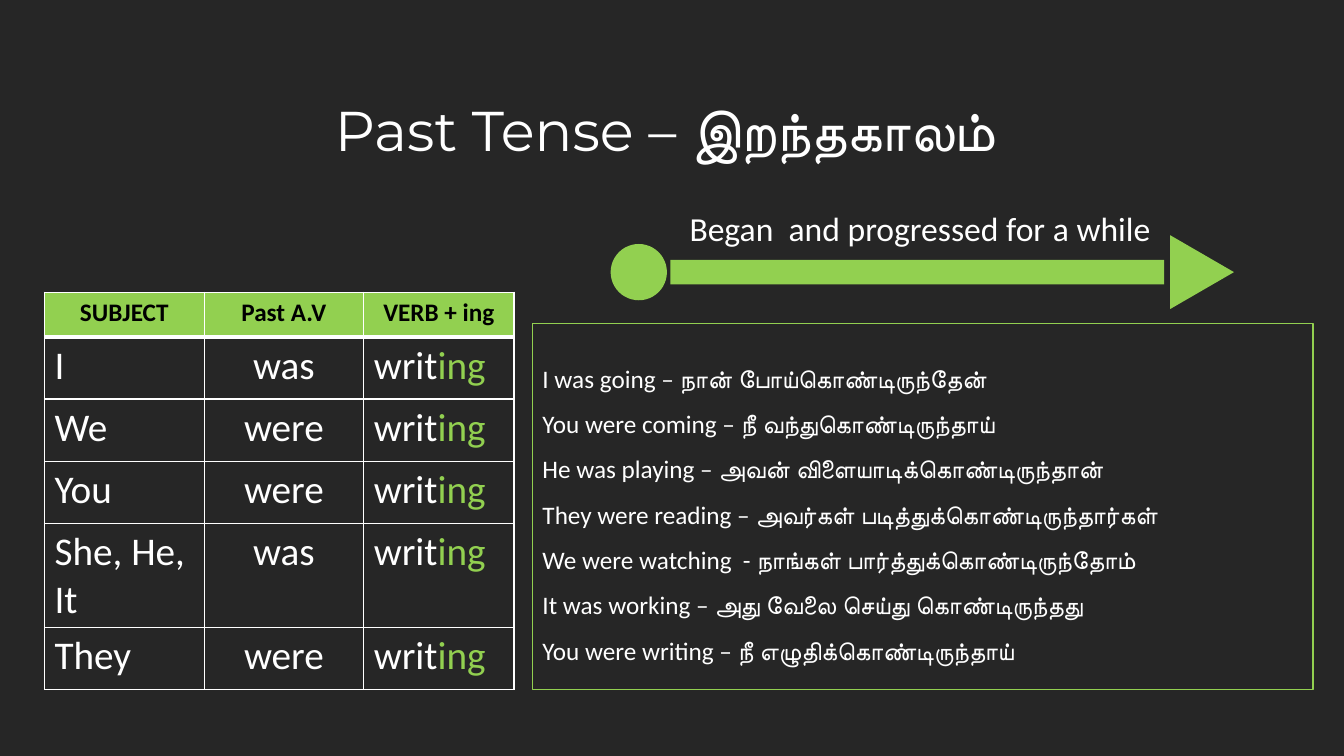
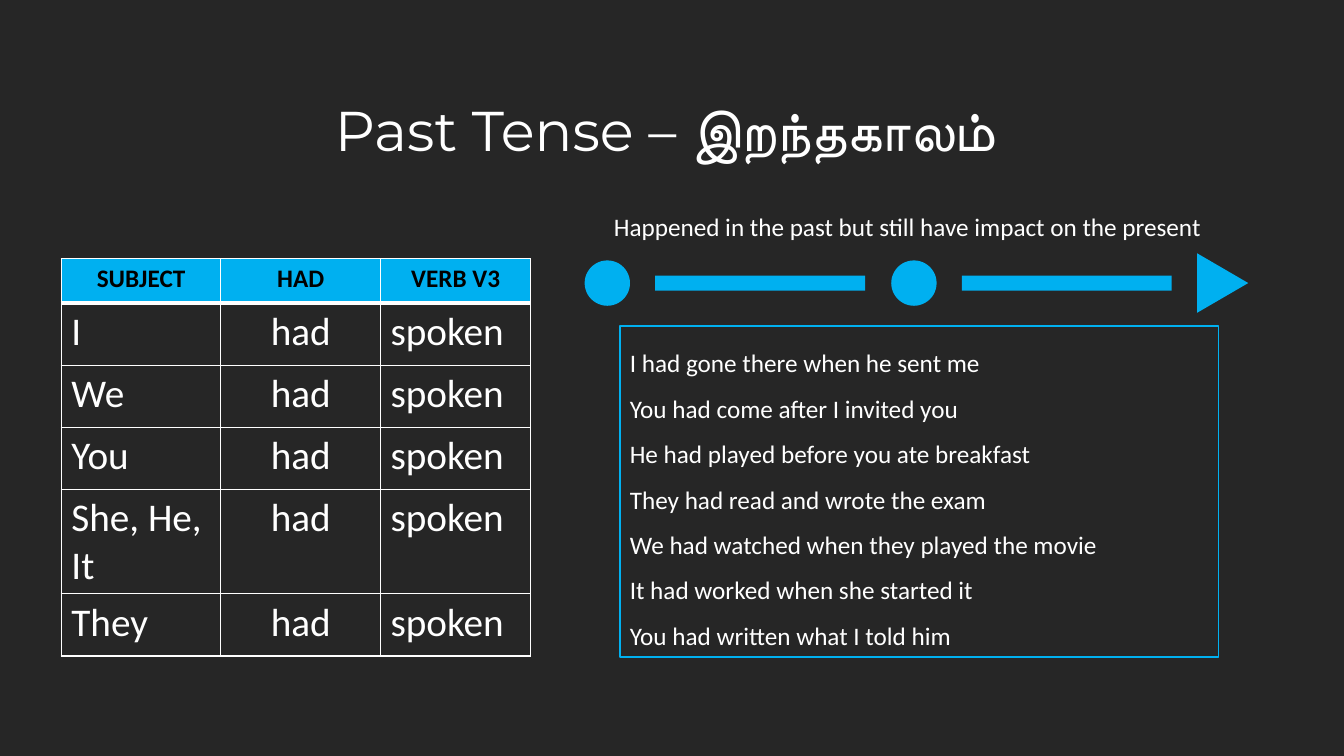
from collections.abc import Sequence
from dataclasses import dataclass
from typing import NamedTuple

from lxml import etree
from pptx import Presentation
from pptx import util as u
from pptx.dml.color import RGBColor
from pptx.enum import shapes, text
from pptx.oxml import ns


@dataclass(frozen=True)
class Theme:
    ground: str = "262626"
    ink: str = "FFFFFF"
    header_ink: str = "000000"
    green: str = "92D050"
    blue: str = "00B0F0"
    title_font: str = "Montserrat"
    body_font: str = "Calibri"
    title_size: int = 40
    entry_size: int = 28
    body_size: int = 18
    line_spacing: float = 1.5
    rule: int = 1
    header_rule: int = 3


THEME = Theme()
WIDTH, HEIGHT = u.Inches(13.33), u.Inches(7.5)
COLUMNS, ROWS = 16, 9  # every length below counts columns or rows of this grid
SHAPE = shapes.MSO_SHAPE
LEFT, CENTER = text.PP_ALIGN.LEFT, text.PP_ALIGN.CENTER


class Area(NamedTuple):
    left: float
    top: float
    width: float
    height: float


class Mark(NamedTuple):
    kind: SHAPE
    left: float
    width: float
    height: float


@dataclass(frozen=True)
class Caption:
    wording: str
    area: Area
    size: int
    wrap: bool


@dataclass(frozen=True)
class Tense:
    accent: str
    table_left: float
    table_top: float
    header: Sequence[str]
    helpers: Sequence[str]
    verb: str
    ending: str
    caption: Caption
    axis: float
    marks: Sequence[Mark]
    example_area: Area
    examples: Sequence[str]


TITLE = "Past Tense – இறந்தகாலம் "
TITLE_AREA = Area(2.51, 1.08, 10.98, 0.92)
SUBJECTS = ("I", "We", "You", "She, He, It", "They")
TABLE_COLUMNS = (1.9, 1.9, 1.79)
HEADER_HEIGHT, ENTRY_HEIGHT = 0.53, 0.74
STEP = 3.65  # from one timeline event to the next

TENSES = (
    Tense(
        accent=THEME.green,
        table_left=0.53,
        table_top=3.48,
        header=("SUBJECT", "Past A.V", "VERB + ing"),
        helpers=("was", "were", "were", "was", "were"),
        verb="writ",
        ending="ing",
        caption=Caption("Began  and progressed for a while", Area(8.09, 2.42, 5.78, 0.6), 24, False),
        axis=3.24,
        marks=(
            Mark(SHAPE.OVAL, 7.27, 0.67, 0.67),
            Mark(SHAPE.RECTANGLE, 7.98, 5.88, 0.29),
            Mark(SHAPE.ISOSCELES_TRIANGLE, 13.87, 0.88, 0.76),
        ),
        example_area=Area(6.34, 3.85, 9.29, 4.36),
        examples=(
            "I was going – நான் போய்கொண்டிருந்தேன்",
            "You were coming – நீ வந்துகொண்டிருந்தாய்",
            "He was playing – அவன் விளையாடிக்கொண்டிருந்தான்",
            "They were reading – அவர்கள் படித்துக்கொண்டிருந்தார்கள்",
            "We were watching  - நாங்கள் பார்த்துக்கொண்டிருந்தோம்",
            "It was working – அது வேலை செய்து கொண்டிருந்தது",
            "You were writing – நீ எழுதிக்கொண்டிருந்தாய்",
        ),
    ),
    Tense(
        accent=THEME.blue,
        table_left=0.73,
        table_top=3.08,
        header=("SUBJECT", "HAD", "VERB V3"),
        helpers=("had",) * len(SUBJECTS),
        verb="spoken",
        ending="",
        caption=Caption(
            "Happened in the past but still have impact on the present",
            Area(7.19, 2.46, 7.85, 0.48), THEME.body_size, True,
        ),
        axis=3.37,
        marks=(
            *(
                mark
                for event in range(2)
                for mark in (
                    Mark(SHAPE.OVAL, 6.96 + event * STEP, 0.54, 0.54),
                    Mark(SHAPE.RECTANGLE, 7.8 + event * STEP, 2.5, 0.18),
                )
            ),
            Mark(SHAPE.ISOSCELES_TRIANGLE, 14.2, 0.71, 0.61),
        ),
        example_area=Area(7.38, 3.88, 7.13, 3.94),
        examples=(
            "I had gone there when he sent me",
            "You had come after I invited you",
            "He had played before you ate breakfast",
            "They had read and wrote the exam",
            "We had watched when they played the movie",
            "It had worked when she started it",
            "You had written what I told him",
        ),
    ),
)


def across(columns: float) -> int:
    return round(WIDTH * columns / COLUMNS)


def down(rows: float) -> int:
    return round(HEIGHT * rows / ROWS)


def place(area: Area) -> tuple[int, int, int, int]:
    return across(area.left), down(area.top), across(area.width), down(area.height)


def write(frame, *lines: str, size: int = THEME.body_size, color: str = THEME.ink,
          font: str = THEME.body_font, bold: bool = False, align=LEFT,
          spacing: float = 1.0, ending: str = "", ending_color: str = THEME.ink) -> None:
    """Fill a text frame, one paragraph a line, each with an optional coloured ending."""
    for index, line in enumerate(lines):
        para = frame.add_paragraph() if index else frame.paragraphs[0]
        para.alignment, para.line_spacing = align, spacing
        for wording, ink in ((line, color), (ending, ending_color)):
            if wording:
                span = para.add_run()
                span.text = wording
                span.font.name, span.font.size, span.font.bold = font, u.Pt(size), bold
                span.font.color.rgb = RGBColor.from_string(ink)


def add_title(slide) -> None:
    title = slide.shapes.title
    title.left, title.top, title.width, title.height = place(TITLE_AREA)
    frame = title.text_frame
    frame.word_wrap = True
    frame.auto_size = text.MSO_AUTO_SIZE.SHAPE_TO_FIT_TEXT
    frame.vertical_anchor = text.MSO_ANCHOR.TOP
    write(frame, TITLE, size=THEME.title_size, font=THEME.title_font, align=CENTER)


def add_caption(slide, caption: Caption) -> None:
    frame = slide.shapes.add_textbox(*place(caption.area)).text_frame
    frame.word_wrap = caption.wrap
    frame.auto_size = text.MSO_AUTO_SIZE.SHAPE_TO_FIT_TEXT
    write(frame, caption.wording, size=caption.size)


def add_examples(slide, tense: Tense) -> None:
    box = slide.shapes.add_shape(SHAPE.RECTANGLE, *place(tense.example_area))
    box.shadow.inherit = False
    box.fill.background()
    box.line.color.rgb = RGBColor.from_string(tense.accent)
    box.line.width = u.Pt(THEME.rule)
    box.text_frame.word_wrap = True
    box.text_frame.vertical_anchor = text.MSO_ANCHOR.MIDDLE
    write(box.text_frame, *tense.examples, spacing=THEME.line_spacing)


def add_timeline(slide, tense: Tense) -> None:
    group = slide.shapes.add_group_shape()
    for mark in tense.marks:
        width, height = across(mark.width), down(mark.height)
        top = down(tense.axis) - height // 2
        shape = group.shapes.add_shape(mark.kind, across(mark.left), top, width, height)
        shape.shadow.inherit = False
        shape.fill.solid()
        shape.fill.fore_color.rgb = RGBColor.from_string(tense.accent)
        shape.line.fill.background()
        if mark.kind == SHAPE.ISOSCELES_TRIANGLE:
            shape.rotation = 90


def set_borders(cell, **widths: int) -> None:
    """Draw the cell's L, R, T and B edges in the ink colour."""
    properties = cell._tc.get_or_add_tcPr()
    for side, width in widths.items():
        edge = etree.SubElement(properties, ns.qn(f"a:ln{side}"), w=str(u.Pt(width)))
        fill = etree.SubElement(edge, ns.qn("a:solidFill"))
        etree.SubElement(fill, ns.qn("a:srgbClr"), val=THEME.ink)


def add_conjugation(slide, tense: Tense) -> None:
    heights = (HEADER_HEIGHT, *[ENTRY_HEIGHT] * len(SUBJECTS))
    area = Area(tense.table_left, tense.table_top, sum(TABLE_COLUMNS), sum(heights))
    table = slide.shapes.add_table(len(heights), len(TABLE_COLUMNS), *place(area)).table
    table.horz_banding = table.first_row = False
    for column, width in zip(table.columns, TABLE_COLUMNS):
        column.width = across(width)
    for row, height in zip(table.rows, heights):
        row.height = down(height)

    # Header row
    for index, heading in enumerate(tense.header):
        cell = table.cell(0, index)
        set_borders(cell, L=THEME.rule, R=THEME.rule, T=THEME.rule, B=THEME.header_rule)
        cell.fill.solid()
        cell.fill.fore_color.rgb = RGBColor.from_string(tense.accent)
        write(cell.text_frame, heading, color=THEME.header_ink, bold=True, align=CENTER)

    # One row for each subject
    for number, (subject, helper) in enumerate(zip(SUBJECTS, tense.helpers), 1):
        entries = ((subject, LEFT, ""), (helper, CENTER, ""), (tense.verb, LEFT, tense.ending))
        top = THEME.header_rule if number == 1 else THEME.rule
        for index, (wording, align, ending) in enumerate(entries):
            cell = table.cell(number, index)
            set_borders(cell, L=THEME.rule, R=THEME.rule, T=top, B=THEME.rule)
            cell.fill.background()
            write(cell.text_frame, wording, size=THEME.entry_size, align=align,
                  ending=ending, ending_color=tense.accent)


def main() -> None:
    deck = Presentation()
    deck.slide_width, deck.slide_height = WIDTH, HEIGHT
    ground = deck.slide_master.background.fill
    ground.solid()
    ground.fore_color.rgb = RGBColor.from_string(THEME.ground)
    title_only = deck.slide_layouts.get_by_name("Title Only")
    for tense in TENSES:
        slide = deck.slides.add_slide(title_only)
        add_examples(slide, tense)
        add_timeline(slide, tense)
        add_caption(slide, tense.caption)
        add_conjugation(slide, tense)
        add_title(slide)
    deck.save("out.pptx")


if __name__ == "__main__":
    main()
